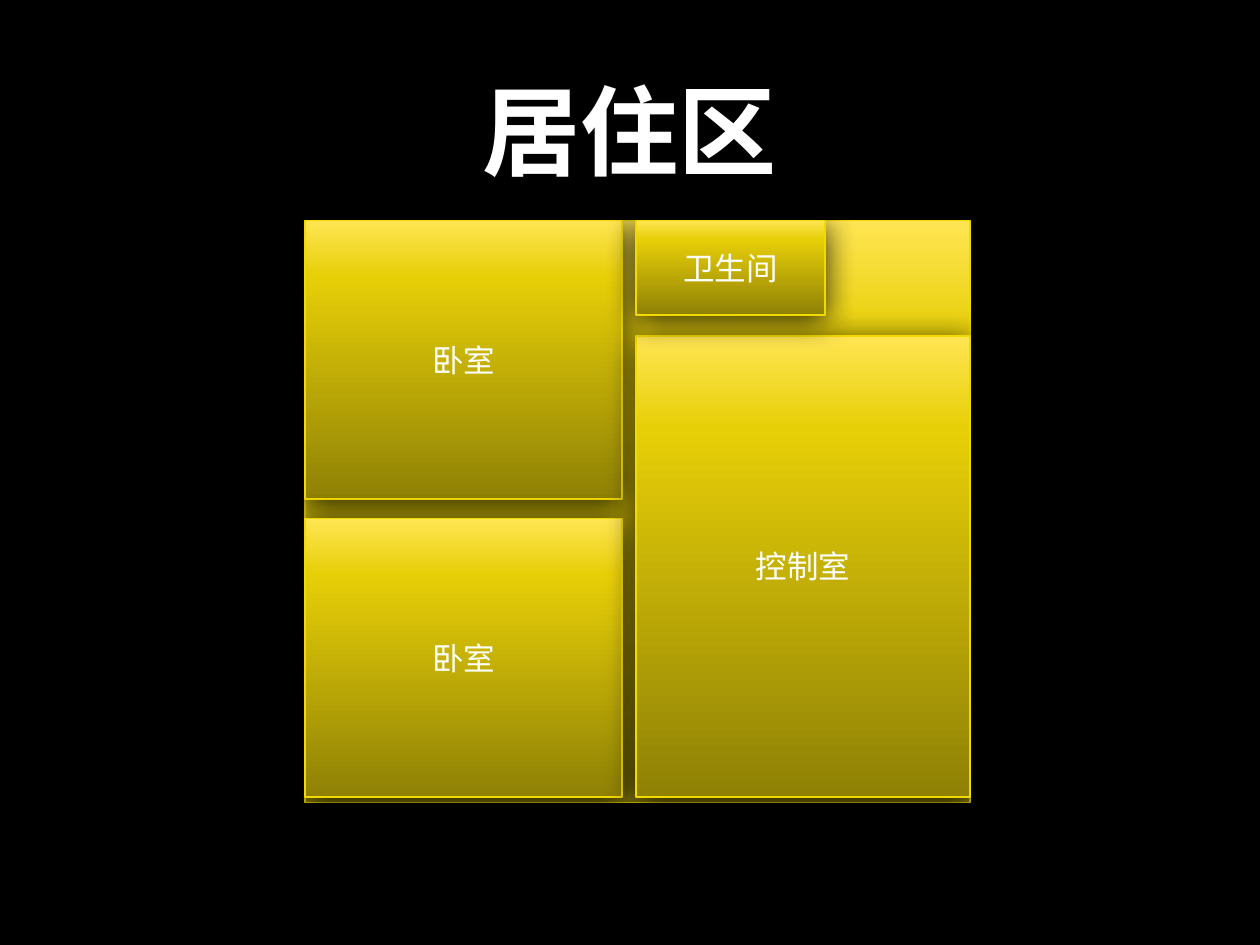
from copy import deepcopy
from dataclasses import dataclass

from lxml import etree
from pptx import Presentation
from pptx.dml.color import RGBColor
from pptx.enum.shapes import MSO_SHAPE
from pptx.enum.text import MSO_ANCHOR, PP_ALIGN
from pptx.oxml.ns import qn
from pptx.util import Inches, Pt

RECTANGLE = MSO_SHAPE.RECTANGLE
CENTER = PP_ALIGN.CENTER
MIDDLE = MSO_ANCHOR.MIDDLE
TITLE_ONLY = 5


@dataclass(frozen=True)
class Theme:
    font: str = "Calibri"
    background: str = "000000"
    text: str = "FFFFFF"
    outline: str = "F2D902"
    gradient: tuple = ((0, "8F8105"), (0.8, "E7CF08"), (1, "FFE552"))
    shadow: str = "000000"
    title_size: int = 56
    room_size: int = 18


THEME = Theme()


def write_centered(shape, text, size, bold=False):
    frame = shape.text_frame
    frame.text = text
    frame.word_wrap = True
    frame.vertical_anchor = MIDDLE
    paragraph = frame.paragraphs[0]
    paragraph.alignment = CENTER
    font = paragraph.runs[0].font
    font.name, font.size, font.bold = THEME.font, Pt(size), bold
    font.color.rgb = RGBColor.from_string(THEME.text)


def fill_gradient(shape):
    """Fill from dark at the bottom to light at the top."""
    shape.fill.gradient()
    shape.fill.gradient_angle = 90
    stop_list = shape._element.spPr.find(".//" + qn("a:gsLst"))
    stop_list.append(deepcopy(stop_list[-1]))
    for stop, (position, color) in zip(shape.fill.gradient_stops, THEME.gradient):
        stop.position = position
        stop.color.rgb = RGBColor.from_string(color)


def add_shadow(shape):
    shape.shadow.inherit = False
    effects = shape._element.spPr.find(qn("a:effectLst"))
    shadow = etree.SubElement(
        effects, qn("a:outerShdw"), blurRad=str(Pt(18)), dist=str(Pt(3)),
        dir="5400000", algn="ctr", rotWithShape="0")
    color = etree.SubElement(shadow, qn("a:srgbClr"), val=THEME.shadow)
    etree.SubElement(color, qn("a:alpha"), val="80000")


def add_block(slide, box, label=""):
    shape = slide.shapes.add_shape(RECTANGLE, *map(Inches, box))
    fill_gradient(shape)
    shape.line.color.rgb = RGBColor.from_string(THEME.outline)
    shape.line.width = Pt(1)
    add_shadow(shape)
    if label:
        write_centered(shape, label, THEME.room_size)


def add_title(slide, box, text):
    title = slide.shapes.title
    title.left, title.top, title.width, title.height = map(Inches, box)
    write_centered(title, text, THEME.title_size, bold=True)


def add_floor_plan(slide, box):
    """Draw the floor with bedrooms on the left, bathroom and control room on the right."""
    left, top, width, height = box
    bottom = top + height * 0.99
    bedroom_width, bedroom_height = width * 0.477, height * 0.478
    control_width, control_height = width * 0.502, height * 0.792
    right_column = left + width - control_width

    add_block(slide, box)
    for bedroom_top in (top, bottom - bedroom_height):
        add_block(slide, (left, bedroom_top, bedroom_width, bedroom_height), "卧室")
    add_block(slide, (right_column, bottom - control_height,
                      control_width, control_height), "控制室")
    add_block(slide, (right_column, top, width * 0.284, height * 0.162), "卫生间")


def main():
    presentation = Presentation()
    presentation.slide_width, presentation.slide_height = Inches(10), Inches(7.5)
    slide = presentation.slides.add_slide(presentation.slide_layouts[TITLE_ONLY])
    background = slide.background.fill
    background.solid()
    background.fore_color.rgb = RGBColor.from_string(THEME.background)
    add_title(slide, (0.85, 0.12, 8.29, 1.81), "居住区")
    add_floor_plan(slide, (2.42, 1.75, 5.28, 4.62))
    presentation.save("out.pptx")


if __name__ == "__main__":
    main()
